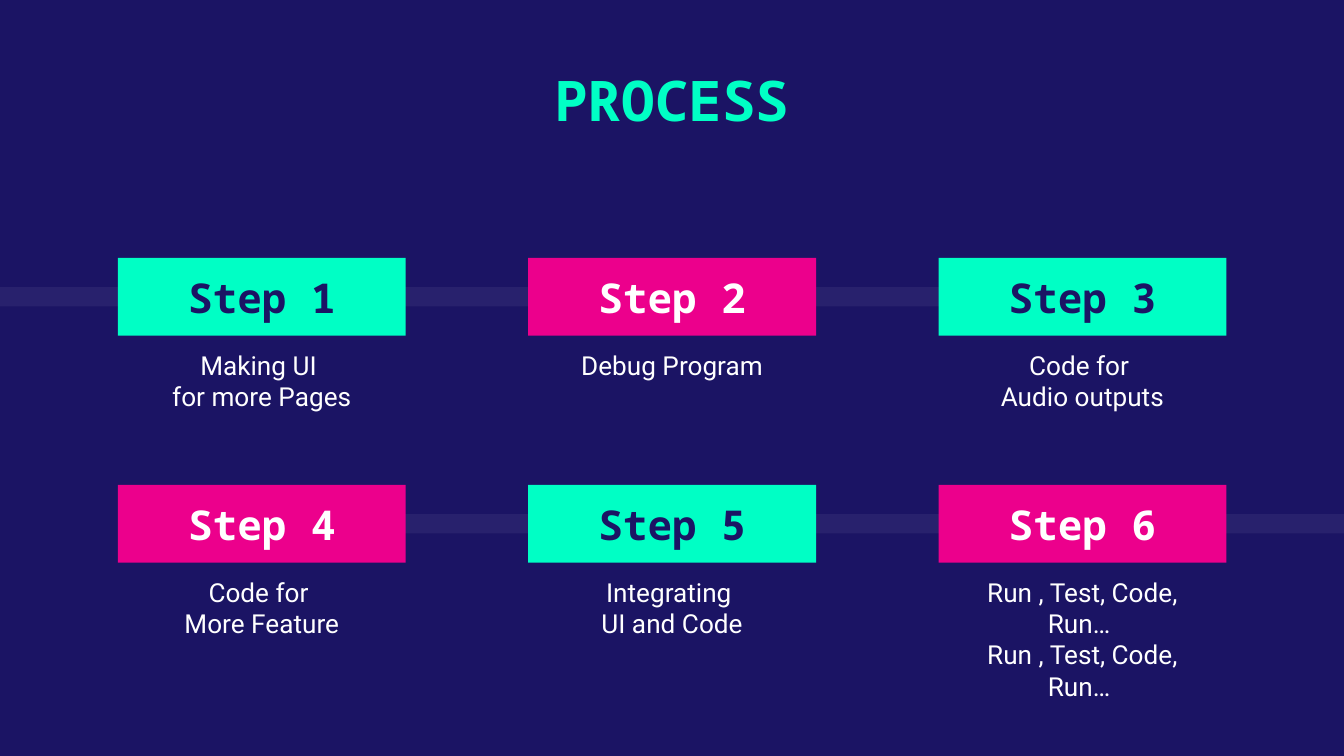
"""Build the six-step process slide."""
from lxml import etree
from pptx import Presentation
from pptx import util as u
from pptx.dml.color import RGBColor
from pptx.enum import shapes, text
from pptx.oxml import ns

HUES = {"navy": "1B1464", "mint": "00FFC5", "pink": "EC008C", "white": "FFFFFF"}
STEPS = [
    ["Making UI ", "for more Pages"],
    ["Debug Program"],
    ["Code for ", "Audio outputs"],
    ["Code for ", "More Feature"],
    ["Integrating ", "UI and Code"],
    ["Run , Test, Code, Run… ", "Run , Test, Code, Run… "],
]


class Deck:
    head = "Noto Sans Mono"
    body = "Roboto"
    inset = 7.2

    def __init__(self, wide, high):
        self.prs = Presentation()
        self.prs.slide_width, self.prs.slide_height = u.Pt(wide), u.Pt(high)
        self.slide = self.prs.slides.add_slide(self.prs.slide_layouts[5])
        self.paint(self.slide.background.fill, "navy")

    def paint(self, fill, hue):
        fill.solid()
        fill.fore_color.rgb = RGBColor.from_string(HUES[hue])

    def letter(self, shape, lines, font, size, hue, bold=False, anchor="TOP"):
        frame = shape.text_frame
        frame.word_wrap = True
        frame.auto_size = text.MSO_AUTO_SIZE.NONE
        frame.vertical_anchor = text.MSO_ANCHOR[anchor]
        frame.margin_left = frame.margin_right = u.Pt(self.inset)
        frame.margin_top = frame.margin_bottom = u.Pt(self.inset)
        for i, line in enumerate(lines):
            para = frame.add_paragraph() if i else frame.paragraphs[0]
            para.alignment = text.PP_ALIGN.CENTER
            run = para.add_run()
            run.text = line
            run.font.name, run.font.size, run.font.bold = font, u.Pt(size), bold
            run.font.color.rgb = RGBColor.from_string(HUES[hue])

    def title(self, line, *box):
        shape = self.slide.shapes.title
        shape.left, shape.top, shape.width, shape.height = map(u.Pt, box)
        self.letter(shape, [line], self.head, 30, "mint", True, "MIDDLE")

    def block(self, hue, *box):
        shape = self.slide.shapes.add_shape(
            shapes.MSO_SHAPE.RECTANGLE, *map(u.Pt, box))
        shape.shadow.inherit = False
        shape.line.fill.background()
        self.paint(shape.fill, hue)
        return shape

    def track(self, *box):
        shape = self.block("white", *box)
        tint = shape.element.spPr.find(".//" + ns.qn("a:srgbClr"))
        etree.SubElement(tint, ns.qn("a:alpha"), val="6000")

    def label(self, line, hue, ink, *box):
        shape = self.block(hue, *box)
        self.letter(shape, [line], self.head, 22, ink, True, "BOTTOM")

    def note(self, lines, *box):
        shape = self.slide.shapes.add_textbox(*map(u.Pt, box))
        self.letter(shape, lines, self.body, 14, "white")


def main():
    deck = Deck(720, 405)
    left, top, across, down = 63.2, 138.2, 219.8, 121.6
    wide, high = 154.2, 41.6
    deck.track(0, top + 15.6, 613.5, 10.4)
    deck.track(73.5, top + down + 15.6, 646.5, 10.4)
    deck.title("PROCESS", 100.8, 26.6, 518.4, 52.6)
    for i, lines in enumerate(STEPS):
        row, col = divmod(i, 3)
        x, y = left + col * across, top + row * down
        hue, ink = ("pink", "white") if i % 2 else ("mint", "navy")
        deck.note(lines, x + 2.6, y + high, wide - 5.2, 52.6)
        deck.label(f"Step {i + 1}", hue, ink, x, y, wide, high)
    deck.prs.save("out.pptx")


if __name__ == "__main__":
    main()
